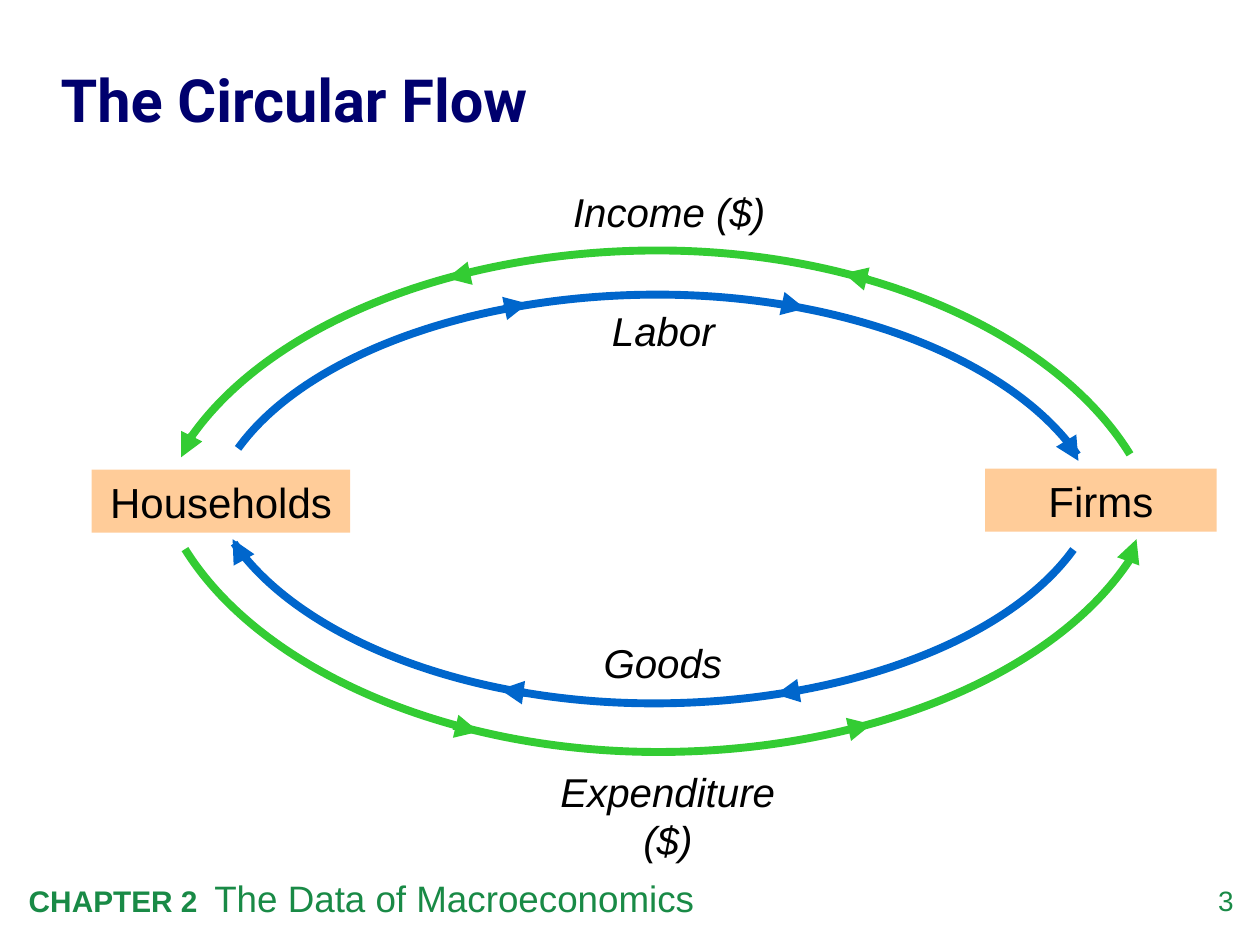
from lxml.etree import SubElement
from pptx import Presentation
from pptx.dml.color import RGBColor
from pptx.enum.shapes import MSO_CONNECTOR as CONN, MSO_SHAPE as SHAPE
from pptx.enum.text import MSO_ANCHOR as ANCHOR, MSO_AUTO_SIZE as AUTO, PP_ALIGN as ALIGN
from pptx.oxml.ns import qn
from pptx.util import Cm, Pt

BLACK = RGBColor(0x00, 0x00, 0x00)
NAVY = RGBColor(0x00, 0x00, 0x6E)
PEACH = RGBColor(0xFF, 0xCC, 0x99)
BLUE = RGBColor(0x00, 0x66, 0xCC)
GREEN = RGBColor(0x33, 0xCC, 0x33)
FOOTER_GREEN = RGBColor(0x19, 0x8A, 0x46)
LINE_WIDTH = Pt(4.5)

ARC = [(0, 0.96), (0.08, 0.38), (0.28, 0), (0.5, 0), (0.72, 0), (0.92, 0.4), (1, 1)]

ACTORS = [
    ("Households", (1.85, 9.47, 5.21, 1.27)),
    ("Firms", (19.86, 9.45, 4.67, 1.27)),
]

FLOWS = [
    ("Goods", (4.72, 10.95, 16.92, 3.23), BLUE, True, (6.22, 1.8, 4.85),
     [(0.18, 0.3, -0.03, -0.08), (5.89, 3.02, 5.36, 2.95), (11.4, 2.97, 10.92, 3.05)]),
    ("Labor", (4.8, 5.94, 16.92, 3.23), BLUE, False, (6.15, 0.1, 4.85),
     [(5.36, 0.28, 5.84, 0.18), (10.97, 0.18, 11.43, 0.28), (16.74, 3.02, 16.94, 3.35)]),
    ("Expenditure ($)", (3.73, 11.07, 19.08, 4.09), GREEN, True, (6.71, 4.27, 6.05),
     [(19.02, 0.23, 19.18, -0.2), (5.41, 3.56, 5.92, 3.68), (13.39, 3.63, 13.84, 3.53)]),
    ("Income ($)", (3.73, 5.05, 19.05, 4.11), GREEN, False, (7.34, -1.4, 4.85),
     [(13.77, 0.58, 13.28, 0.46), (5.74, 0.46, 5.28, 0.56), (0.15, 3.71, -0.08, 4.17)]),
]


def set_font(font, size, color, name="Arial", bold=False, italic=False):
    """Apply the typeface, size, colour and style to a font."""
    font.name, font.size, font.bold, font.italic = name, Pt(size), bold, italic
    font.color.rgb = color


def add_text(slide, box, text, size, color, align=ALIGN.LEFT, italic=False):
    """Add a wrapping text box and return its text frame."""
    tf = slide.shapes.add_textbox(*map(Cm, box)).text_frame
    tf.word_wrap = True
    p = tf.paragraphs[0]
    p.text, p.alignment = text, align
    set_font(p.font, size, color, italic=italic)
    return tf


def no_insets(tf):
    """Remove the inner margins of a text frame."""
    tf.margin_left = tf.margin_right = tf.margin_top = tf.margin_bottom = 0


def add_title(slide, box, text):
    """Place and format the title placeholder."""
    title = slide.shapes.title
    title.left, title.top, title.width, title.height = map(Cm, box)
    tf = title.text_frame
    tf.text = text
    tf.auto_size, tf.vertical_anchor = AUTO.NONE, ANCHOR.MIDDLE
    no_insets(tf)
    p = tf.paragraphs[0]
    p.alignment, p.line_spacing = ALIGN.LEFT, 1.05
    set_font(p.font, 34, NAVY, name="Roboto", bold=True)


def add_footer(slide, box, chapter, subject, number):
    """Add the chapter line and the slide number in the footer strip."""
    left, top, width, height = box
    tf = add_text(slide, (left, top, 20.78, height), chapter, 17, FOOTER_GREEN)
    p = tf.paragraphs[0]
    p.runs[0].font.bold = True
    r = p.add_run()
    r.text = subject
    set_font(r.font, 21, FOOTER_GREEN)
    number_box = (left + width - 1.4, top + 0.28, 1.4, 0.81)
    no_insets(add_text(slide, number_box, number, 16, FOOTER_GREEN, ALIGN.RIGHT))


def add_actor(slide, box, name):
    """Add a filled rectangle naming one side of the economy."""
    sp = slide.shapes.add_shape(SHAPE.RECTANGLE, *map(Cm, box))
    sp.shadow.inherit = False
    sp.fill.solid()
    sp.fill.fore_color.rgb = PEACH
    sp.line.fill.background()
    p = sp.text_frame.paragraphs[0]
    p.text, p.alignment = name, ALIGN.CENTER
    set_font(p.font, 24, BLACK)


def add_arc(slide, box, color, lower):
    """Draw a two-piece Bezier arc that fills the box."""
    left, top, width, height = box
    turned = [(1 - u, 1 - v) if lower else (u, v) for u, v in ARC]
    points = [(Cm(left + u * width), Cm(top + v * height)) for u, v in turned]
    builder = slide.shapes.build_freeform(*points[0])
    builder.add_line_segments(points[1:], close=False)
    sp = builder.convert_to_shape()
    segments = list(sp._element.iter(qn("a:lnTo")))
    for curve, second, third in (segments[:3], segments[3:]):
        curve.tag = qn("a:cubicBezTo")
        for segment in (second, third):
            curve.append(segment[0])
            segment.getparent().remove(segment)
    sp.shadow.inherit = False
    sp.fill.background()
    sp.line.color.rgb, sp.line.width = color, LINE_WIDTH


def add_arrow(slide, ends, color):
    """Add a short line with a triangle at its end."""
    arrow = slide.shapes.add_connector(CONN.STRAIGHT, *map(Cm, ends))
    arrow.line.color.rgb, arrow.line.width = color, LINE_WIDTH
    SubElement(arrow.line._get_or_add_ln(), qn("a:tailEnd"), type="triangle")
    SubElement(arrow._element.spPr, qn("a:effectLst"))


def add_flow(slide, box, name, color, lower, label, arrows):
    """Add one labelled flow: its arc, and its arrows relative to the box."""
    left, top = box[:2]
    x, y, width = label
    add_text(slide, (left + x, top + y, width, 1.22), name, 23, BLACK, ALIGN.CENTER, italic=True)
    add_arc(slide, box, color, lower)
    for x1, y1, x2, y2 in arrows:
        add_arrow(slide, (left + x1, top + y1, left + x2, top + y2), color)


def main():
    """Build and save the circular flow slide."""
    prs = Presentation()
    prs.slide_width, prs.slide_height = Cm(25.4), Cm(19.05)
    slide = prs.slides.add_slide(prs.slide_layouts[5])
    add_footer(slide, (0.33, 17.53, 24.54, 1.14), "CHAPTER 2\u00a0 ".replace("\u00a0", " "),
               "The Data of Macroeconomics", "3")
    add_title(slide, (1.22, 0.84, 24.18, 2.24), "The Circular Flow")
    for name, box in ACTORS:
        add_actor(slide, box, name)
    for name, box, color, lower, label, arrows in FLOWS:
        add_flow(slide, box, name, color, lower, label, arrows)
    prs.save("out.pptx")


if __name__ == "__main__":
    main()
